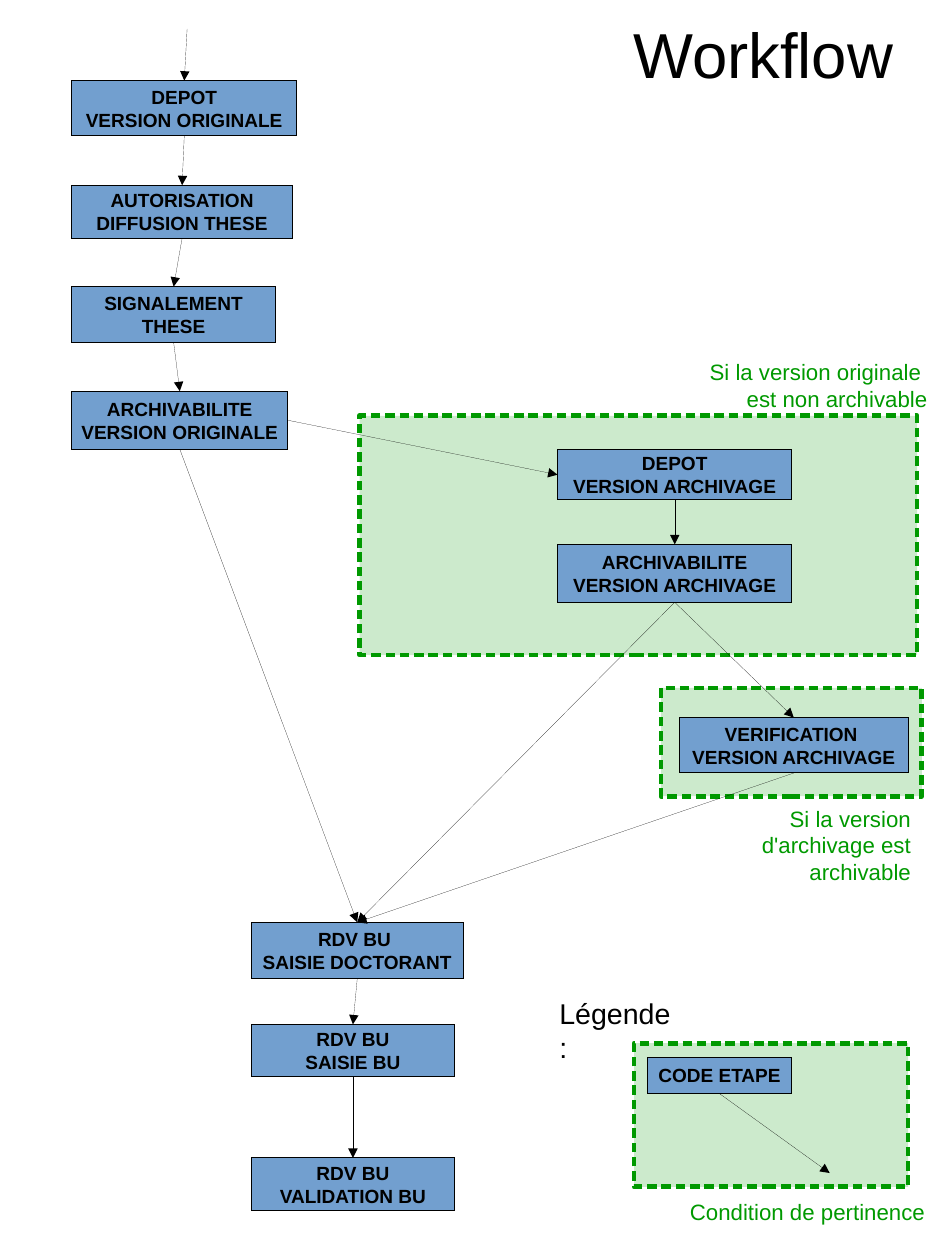
import dataclasses

import pptx
import pptx.dml.color
import pptx.enum.shapes
import pptx.enum.text
import pptx.oxml.ns
import pptx.util

ALIGN = pptx.enum.text.PP_ALIGN
ANCHOR = pptx.enum.text.MSO_ANCHOR
SHAPE = pptx.enum.shapes.MSO_SHAPE
TOP, LEFT, BOTTOM, RIGHT = range(4)


@dataclasses.dataclass(frozen=True)
class Theme:
    font: str = "Arial"
    black: str = "000000"
    step_fill: str = "729FCF"
    green: str = "009900"
    zone_opacity: int = 20
    zone_line: float = 3
    hairline: float = 0.01
    title_size: int = 40
    legend_size: int = 18
    label_size: int = 14
    step_size: int = 12


THEME = Theme()
WIDTH, HEIGHT = pptx.util.Cm(21), pptx.util.Cm(28)

# Places are percentages of the slide: left, top, width, height
ZONES = [
    (38.05, 33, 59, 19),
    (69.95, 54.6, 27.6, 8.6),
    (67.1, 82.8, 29, 11.4),
]

# Each column of steps: its left edge, then name, top, width, height, lines
STEP_COLUMNS = [
    (7.6, [
        ("deposit", 6.4, 23.8, 4.35, ["DEPOT", "VERSION ORIGINALE"]),
        ("permission", 14.7, 23.35, 4.2, ["AUTORISATION", "DIFFUSION THESE"]),
        ("record", 22.75, 21.55, 4.4, ["SIGNALEMENT", "THESE"]),
        ("check", 31.05, 22.85, 4.6, ["ARCHIVABILITE", "VERSION ORIGINALE"]),
    ]),
    (59, [
        ("archive deposit", 35.7, 24.8, 3.95, ["DEPOT", "VERSION ARCHIVAGE"]),
        ("archive check", 43.2, 24.8, 4.6, ["ARCHIVABILITE", "VERSION ARCHIVAGE"]),
    ]),
    (71.85, [
        ("verification", 56.95, 24.3, 4.4, ["VERIFICATION ", "VERSION ARCHIVAGE"]),
    ]),
    (26.6, [
        ("student entry", 73.2, 22.4, 4.5, ["RDV BU ", "SAISIE DOCTORANT"]),
        ("library entry", 81.3, 21.5, 4.15, ["RDV BU", "SAISIE BU"]),
        ("validation", 91.9, 21.5, 4.2, ["RDV BU", "VALIDATION BU"]),
    ]),
    (68.55, [
        ("legend step", 83.9, 15.2, 2.9, ["CODE ETAPE"]),
    ]),
]

# Arrows that run from the bottom of one step to the top of another
FLOWS = [
    ("deposit", "permission"),
    ("permission", "record"),
    ("record", "check"),
    ("check", "student entry"),
    ("archive deposit", "archive check"),
    ("archive check", "verification"),
    ("archive check", "student entry"),
    ("verification", "student entry"),
    ("student entry", "library entry"),
    ("library entry", "validation"),
]
FLOW_START = (19.8, 2.3)
LEGEND_ARROW_END = (87.8, 93.1)

CONDITIONS = [
    ((69.15, 28, 30.2, 4.9), ["Si la version originale ", "est non archivable"]),
    ((79.2, 63.45, 18.4, 7.7), ["Si la version", "d'archivage est", "archivable"]),
    ((66.6, 94.65, 32.5, 3.2), ["Condition de pertinence"]),
]


def across(share):
    return round(WIDTH * share / 100)


def down(share):
    return round(HEIGHT * share / 100)


def box(left, top, width, height):
    return across(left), down(top), across(width), down(height)


def color(value):
    return pptx.dml.color.RGBColor.from_string(value)


def find_part(parent, tag):
    return parent.find(pptx.oxml.ns.qn(tag))


def append_xml(parent, tag, **attributes):
    child = parent.makeelement(pptx.oxml.ns.qn(tag), attributes)
    parent.append(child)
    return child


def write(text_frame, lines, size, font_color, alignment, bold=False):
    for index, line in enumerate(lines):
        paragraph = text_frame.paragraphs[0] if index == 0 else text_frame.add_paragraph()
        paragraph.alignment = alignment
        run = paragraph.add_run()
        run.text = line
        run.font.name = THEME.font
        run.font.size = pptx.util.Pt(size)
        run.font.bold = bold
        run.font.color.rgb = color(font_color)


def set_line(shape, line, width):
    shape.line.color.rgb = color(line)
    shape.line.width = pptx.util.Pt(width)


def add_block(slide, kind, place, fill, line, line_width):
    shape = slide.shapes.add_shape(kind, *box(*place))
    shape.shadow.inherit = False
    shape.fill.solid()
    shape.fill.fore_color.rgb = color(fill)
    set_line(shape, line, line_width)
    return shape


def add_zone(slide, place):
    zone = add_block(slide, SHAPE.RECTANGLE, place, THEME.green, THEME.green, THEME.zone_line)
    properties = zone.element.spPr
    fill = find_part(properties, "a:solidFill")
    append_xml(fill[0], "a:alpha", val=str(THEME.zone_opacity * 1000))
    dashes = append_xml(find_part(properties, "a:ln"), "a:custDash")
    append_xml(dashes, "a:ds", d="200000", sp="100000")


def add_step(slide, place, lines):
    step = add_block(slide, SHAPE.FLOWCHART_PROCESS, place,
                     THEME.step_fill, THEME.black, THEME.hairline)
    step.text_frame.word_wrap = False
    step.text_frame.vertical_anchor = ANCHOR.MIDDLE
    write(step.text_frame, lines, THEME.step_size, THEME.black, ALIGN.CENTER, bold=True)
    return step


def add_arrow(slide, begin=(0, 0), end=(0, 0), begin_joint=None, end_joint=None):
    arrow = slide.shapes.add_connector(
        pptx.enum.shapes.MSO_CONNECTOR.STRAIGHT,
        across(begin[0]), down(begin[1]), across(end[0]), down(end[1]))
    if begin_joint:
        arrow.begin_connect(*begin_joint)
    if end_joint:
        arrow.end_connect(*end_joint)
    set_line(arrow, THEME.black, THEME.hairline)
    properties = arrow.element.spPr
    append_xml(find_part(properties, "a:ln"), "a:tailEnd", type="triangle")
    append_xml(properties, "a:effectLst")


def add_label(slide, place, lines, size, font_color, alignment, wrap=False):
    text_frame = slide.shapes.add_textbox(*box(*place)).text_frame
    text_frame.word_wrap = wrap
    text_frame.auto_size = pptx.enum.text.MSO_AUTO_SIZE.SHAPE_TO_FIT_TEXT
    write(text_frame, lines, size, font_color, alignment)


def set_title(slide, text):
    title = slide.shapes.title
    title.left, title.top, title.width, title.height = box(63.75, 1.4, 34, 5.7)
    text_frame = title.text_frame
    text_frame.margin_left = text_frame.margin_right = 0
    text_frame.margin_top = text_frame.margin_bottom = 0
    text_frame.vertical_anchor = ANCHOR.MIDDLE
    text_frame.word_wrap = True
    write(text_frame, [text], THEME.title_size, THEME.black, ALIGN.CENTER)


def main():
    presentation = pptx.Presentation()
    presentation.slide_width = WIDTH
    presentation.slide_height = HEIGHT
    slide = presentation.slides.add_slide(presentation.slide_layouts[5])
    set_title(slide, "Workflow")

    # Conditional zones lie behind the steps
    for place in ZONES:
        add_zone(slide, place)

    # Steps
    steps = {}
    for left, column in STEP_COLUMNS:
        for name, top, width, height, lines in column:
            steps[name] = add_step(slide, (left, top, width, height), lines)

    # Arrows
    for source, target in FLOWS:
        add_arrow(slide, begin_joint=(steps[source], BOTTOM), end_joint=(steps[target], TOP))
    add_arrow(slide, begin_joint=(steps["check"], RIGHT),
              end_joint=(steps["archive deposit"], LEFT))
    add_arrow(slide, begin=FLOW_START, end_joint=(steps["deposit"], TOP))
    add_arrow(slide, end=LEGEND_ARROW_END, begin_joint=(steps["legend step"], BOTTOM))

    # Condition labels and legend heading
    for place, lines in CONDITIONS:
        add_label(slide, place, lines, THEME.label_size, THEME.green, ALIGN.RIGHT)
    add_label(slide, (58, 78.6, 15.8, 6), ["Légende :"], THEME.legend_size,
              THEME.black, ALIGN.LEFT, wrap=True)

    presentation.save("out.pptx")


if __name__ == "__main__":
    main()
